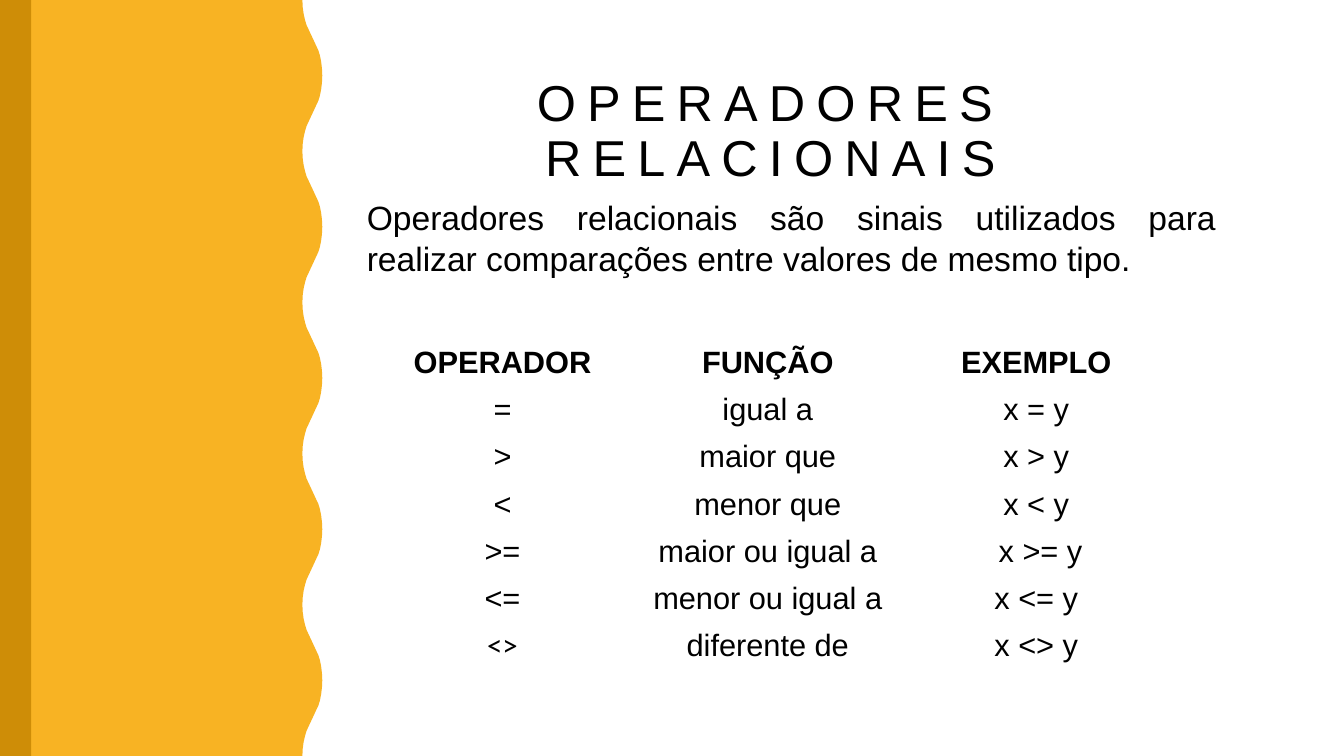
from pptx import Presentation
from pptx.dml.color import RGBColor
from pptx.enum.shapes import MSO_SHAPE
from pptx.enum.text import MSO_ANCHOR, PP_ALIGN
from pptx.util import Pt

RECT = MSO_SHAPE.RECTANGLE
MIDDLE = MSO_ANCHOR.MIDDLE
CENTER, JUSTIFY = PP_ALIGN.CENTER, PP_ALIGN.JUSTIFY

TITLE = "OPERADORES RELACIONAIS"
INTRO = ("Operadores relacionais são sinais utilizados para realizar "
         "comparações entre valores de mesmo tipo.")
ROWS = [
    ("OPERADOR", "FUNÇÃO", "EXEMPLO"),
    ("=", "igual a", "x = y"),
    (">", "maior que", "x > y"),
    ("<", "menor que", "x < y"),
    (">=", "maior ou igual a", " x >= y"),
    ("<=", "menor ou igual a", "x <= y"),
    ("<>", "diferente de", "x <> y"),
]
COLORS = {"gold": "F8B323", "dark": "CE8D07", "text": "000000"}
FONTS = {"<>": "Calibri"}

WIDE, HIGH = 960, 540
WAVES = 5
CREST = 216
SWELL = [(0, 0), (0.2, 5), (0.9, 10), (1.9, 14.4), (3, 18), (4.4, 21),
         (5.8, 24), (7.2, 27), (8.6, 30), (10, 33), (11.4, 36),
         (12.5, 39.6), (13.4, 44), (14, 49), (14.2, 54)]
COLS = [189.5, 189.5, 194]
ROW = 33.64


def paint(shape, name):
    shape.shadow.inherit = False
    shape.fill.solid()
    shape.fill.fore_color.rgb = RGBColor.from_string(COLORS[name])
    shape.line.fill.background()


def style(para, size, align, bold=False, face="Arial"):
    para.alignment = align
    for run in para.runs:
        run.font.size = Pt(size)
        run.font.name = face
        run.font.bold = bold
        run.font.color.rgb = RGBColor.from_string(COLORS["text"])


def add_text(slide, text, box, size, align):
    frame = slide.shapes.add_textbox(*map(Pt, box)).text_frame
    frame.word_wrap = True
    frame.vertical_anchor = MIDDLE
    frame.text = text
    para = frame.paragraphs[0]
    style(para, size, align)
    return para


def add_wave(slide):
    step = HIGH / WAVES
    edge = []
    for wave in range(WAVES):
        top = wave * step
        edge += [(CREST + x, top + y) for x, y in SWELL]
        edge += [(CREST + x, top + step - y) for x, y in SWELL[-2::-1]]
    pen = slide.shapes.build_freeform(0, 0, scale=1.0)
    pen.add_line_segments([(Pt(x), Pt(y)) for x, y in edge + [(0, HIGH)]])
    paint(pen.convert_to_shape(), "gold")


def add_grid(slide):
    box = (264.2, 242.6, sum(COLS), ROW * len(ROWS))
    grid = slide.shapes.add_table(len(ROWS), len(COLS), *map(Pt, box)).table
    grid.horz_banding = False
    for col, width in zip(grid.columns, COLS):
        col.width = Pt(width)
    for r, texts in enumerate(ROWS):
        grid.rows[r].height = Pt(ROW)
        for c, text in enumerate(texts):
            cell = grid.cell(r, c)
            cell.fill.background()
            cell.vertical_anchor = MIDDLE
            cell.text_frame.text = text
            style(cell.text_frame.paragraphs[0], 22, CENTER, r == 0,
                  FONTS.get(text, "Arial"))


def main():
    deck = Presentation()
    deck.slide_width, deck.slide_height = Pt(WIDE), Pt(HIGH)
    slide = deck.slides.add_slide(deck.slide_layouts[6])
    add_wave(slide)
    paint(slide.shapes.add_shape(RECT, 0, 0, Pt(22.3), Pt(HIGH)), "dark")
    title = add_text(slide, TITLE, (249.8, 59.8, 601.2, 69.8), 36, CENTER)
    title.line_spacing = 0.9
    title.runs[0].font._element.set("spc", "800")
    add_grid(slide)
    add_text(slide, INTRO, (254.9, 136.8, 620.6, 65.5), 24, JUSTIFY)
    deck.save("out.pptx")


if __name__ == "__main__":
    main()
